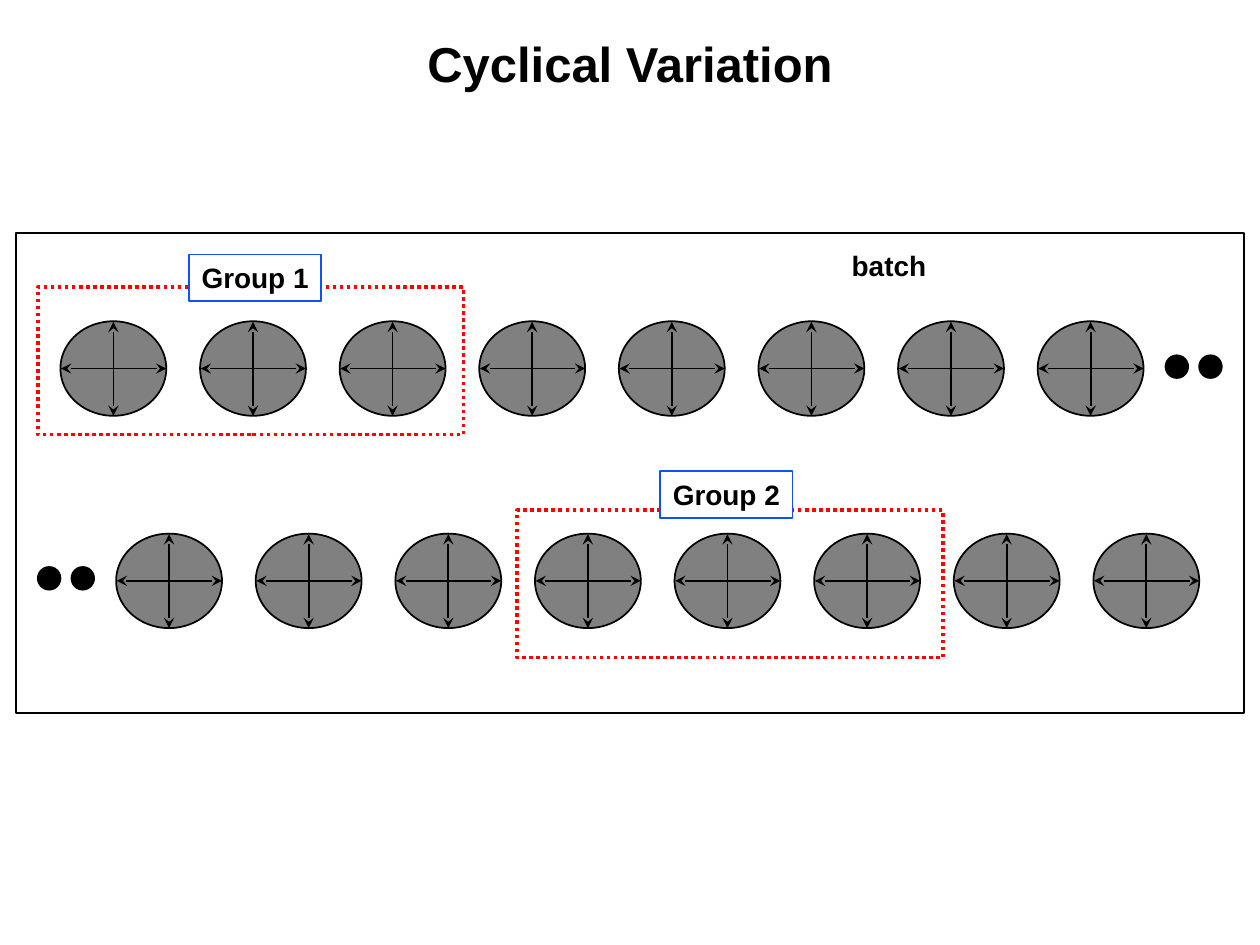
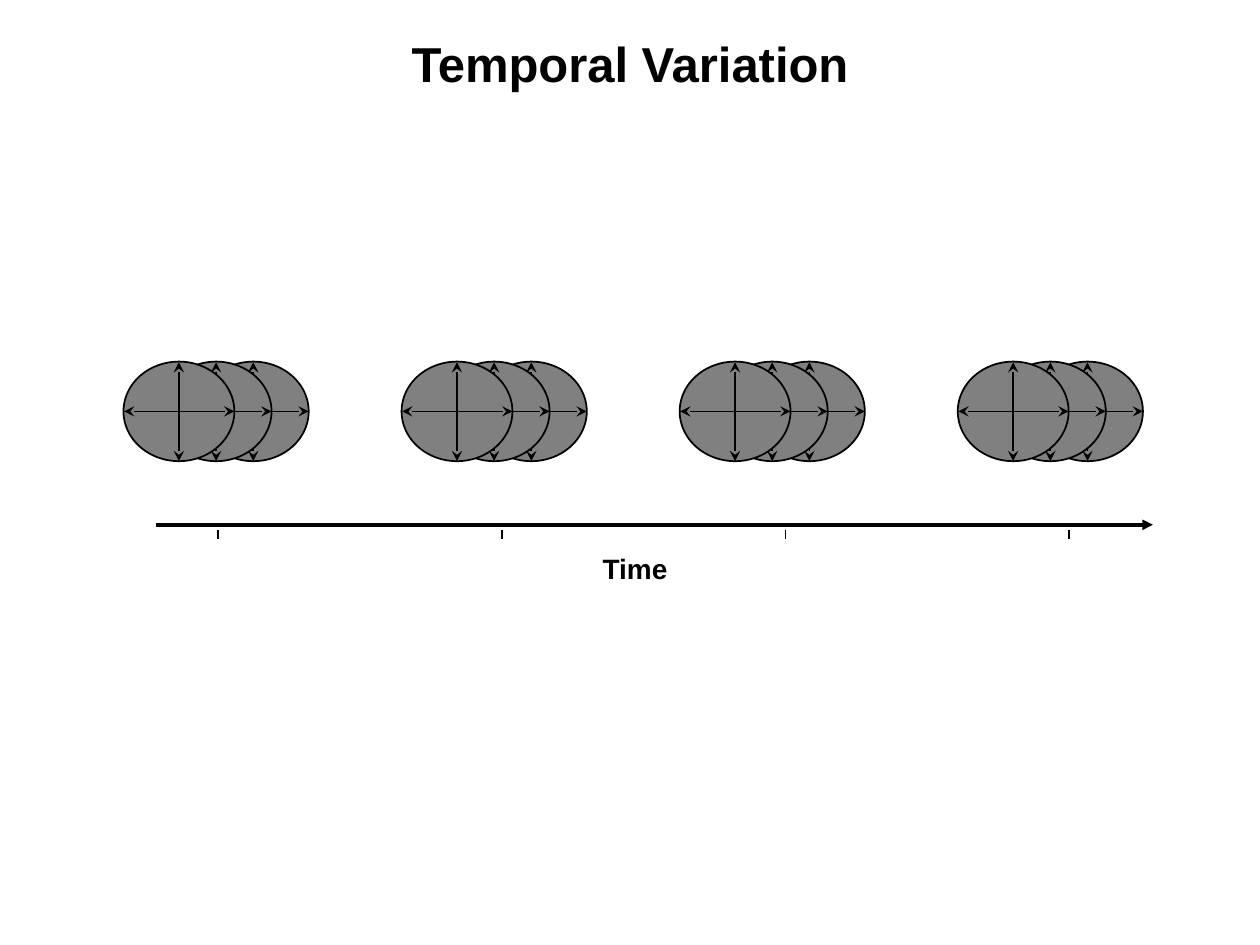
from dataclasses import dataclass
from typing import Optional

from lxml.etree import SubElement
from pptx import Presentation
from pptx.dml.color import RGBColor
from pptx.enum.dml import MSO_LINE
from pptx.enum.shapes import MSO_CONNECTOR, MSO_SHAPE
from pptx.enum.text import MSO_ANCHOR, MSO_AUTO_SIZE, PP_ALIGN
from pptx.oxml.ns import qn
from pptx.util import Inches, Pt

SLIDE_WIDTH, SLIDE_HEIGHT = Inches(10), Inches(7.5)
COLUMNS, ROWS = 100, 75


@dataclass(frozen=True)
class Theme:
    font: str = "Arial"
    title_size: int = 28
    label_size: int = 16
    ink: str = "000000"
    paper: str = "FFFFFF"
    disc: str = "808080"
    group: str = "FF0000"
    tag: str = "114FFB"
    thin: float = 1
    thick: float = 2


@dataclass(frozen=True)
class Area:
    column: float
    row: float
    width: float
    height: float

    def moved(self, columns: float) -> "Area":
        return Area(self.column + columns, self.row, self.width, self.height)

    def lengths(self) -> tuple[int, int, int, int]:
        return across(self.column), down(self.row), across(self.width), down(self.height)


@dataclass(frozen=True)
class Style:
    line: str
    fill: Optional[str] = None
    weight: float = 1
    dash: Optional[MSO_LINE] = None


@dataclass(frozen=True)
class DiscRow:
    first: Area
    first_dot: Area


@dataclass(frozen=True)
class SampleGroup:
    name: str
    frame: Area
    tag: Area


THEME = Theme()
DISC_STYLE = Style(THEME.ink, THEME.disc, THEME.thin)
DOT_STYLE = Style(THEME.ink, THEME.ink, THEME.thin)
PANEL_STYLE = Style(THEME.ink, weight=THEME.thin)
FRAME_STYLE = Style(THEME.group, weight=THEME.thick, dash=MSO_LINE.ROUND_DOT)
TAG_STYLE = Style(THEME.tag, THEME.paper, THEME.thin)

TITLE_AREA = Area(0, 0, COLUMNS, 10)

DISCS_PER_ROW, DISC_PITCH = 8, 11.08
DOTS_PER_ROW, DOT_PITCH = 2, 2.67
DISC_ROWS = [
    DiscRow(Area(4.8, 25.5, 8.4, 7.5), Area(92.5, 28.2, 1.8, 1.8)),
    DiscRow(Area(9.22, 42.35, 8.4, 7.5), Area(3, 45, 1.8, 1.8)),
]
SAMPLE_GROUPS = [
    SampleGroup("Group 1", Area(3, 22.8, 33.8, 11.7), Area(15, 20.2, 10.5, 3.7)),
    SampleGroup("Group 2", Area(41.05, 40.5, 33.8, 11.7), Area(52.4, 37.4, 10.5, 3.7)),
]
BATCH_PANEL = Area(1.25, 18.5, 97.5, 38.1)
BATCH_LABEL = Area(66.6, 19.2, 7.9, 3.7)

CLUSTERS, CLUSTER_PITCH = 4, 22.07
DISCS_PER_CLUSTER, OVERLAP_STEP = 3, 2.95
FRONT_DISC = Area(9.8, 28.7, 8.8, 7.9)
TIME_AXIS = Area(12.4, 41.65, 79.1, 0)
FIRST_TICK, TICK_PITCH = Area(17.3, 42.1, 0, 0.7), 22.52
TIME_LABEL = Area(46.8, 43.3, 7.2, 3.7)


def across(columns: float) -> int:
    return round(SLIDE_WIDTH * columns / COLUMNS)


def down(rows: float) -> int:
    return round(SLIDE_HEIGHT * rows / ROWS)


def color(value: str) -> RGBColor:
    return RGBColor.from_string(value)


def write(box, text: str, size: int, wrap: bool) -> None:
    frame = box.text_frame
    frame.word_wrap = wrap
    frame.auto_size = MSO_AUTO_SIZE.NONE if wrap else MSO_AUTO_SIZE.SHAPE_TO_FIT_TEXT
    frame.vertical_anchor = MSO_ANCHOR.MIDDLE if wrap else MSO_ANCHOR.TOP
    para = frame.paragraphs[0]
    para.text = text
    para.alignment = PP_ALIGN.CENTER
    para.font.name = THEME.font
    para.font.size = Pt(size)
    para.font.bold = True
    para.font.color.rgb = color(THEME.ink)


def add_figure(page, kind: MSO_SHAPE, area: Area, style: Style):
    figure = page.shapes.add_shape(kind, *area.lengths())
    figure.shadow.inherit = False
    if style.fill:
        figure.fill.solid()
        figure.fill.fore_color.rgb = color(style.fill)
    else:
        figure.fill.background()
    figure.line.color.rgb = color(style.line)
    figure.line.width = Pt(style.weight)
    if style.dash:
        figure.line.dash_style = style.dash
    return figure


def add_line(page, area: Area, weight: float, head: str = "none", tail: str = "none"):
    left, top, width, height = area.lengths()
    line = page.shapes.add_connector(
        MSO_CONNECTOR.STRAIGHT, left, top, left + width, top + height
    )
    line.line.color.rgb = color(THEME.ink)
    line.line.width = Pt(weight)
    properties = line.element.spPr
    outline = properties.find(qn("a:ln"))
    SubElement(outline, qn("a:headEnd"), type=head)
    SubElement(outline, qn("a:tailEnd"), type=tail)
    SubElement(properties, qn("a:effectLst"))


def add_label(page, text: str, area: Area, size: int = THEME.label_size, wrap: bool = False) -> None:
    write(page.shapes.add_textbox(*area.lengths()), text, size, wrap)


def add_disc(page, area: Area) -> None:
    add_figure(page, MSO_SHAPE.OVAL, area, DISC_STYLE)
    diameters = [
        Area(area.column + area.width / 2, area.row + 0.05, 0, area.height - 0.05),
        Area(area.column + 0.05, area.row + area.height / 2, area.width - 0.05, 0),
    ]
    for diameter in diameters:
        add_line(page, diameter, THEME.thin, "stealth", "stealth")


def add_page(deck, title: str):
    page = deck.slides.add_slide(deck.slide_layouts[6])
    page.background.fill.solid()
    page.background.fill.fore_color.rgb = color(THEME.paper)
    add_label(page, title, TITLE_AREA, THEME.title_size, wrap=True)
    return page


def build_cyclical(deck) -> None:
    page = add_page(deck, "Cyclical Variation")
    for row in DISC_ROWS:
        for index in range(DISCS_PER_ROW):
            add_disc(page, row.first.moved(index * DISC_PITCH))
        for index in range(DOTS_PER_ROW):
            add_figure(page, MSO_SHAPE.OVAL, row.first_dot.moved(index * DOT_PITCH), DOT_STYLE)
    add_figure(page, MSO_SHAPE.RECTANGLE, BATCH_PANEL, PANEL_STYLE)
    add_label(page, "batch", BATCH_LABEL)
    for group in SAMPLE_GROUPS:
        add_figure(page, MSO_SHAPE.RECTANGLE, group.frame, FRAME_STYLE)
        tag = add_figure(page, MSO_SHAPE.RECTANGLE, group.tag, TAG_STYLE)
        write(tag, group.name, THEME.label_size, wrap=False)


def build_temporal(deck) -> None:
    page = add_page(deck, "Temporal Variation")
    add_line(page, TIME_AXIS, THEME.thick, tail="triangle")
    add_label(page, "Time", TIME_LABEL)
    for cluster in range(CLUSTERS):
        add_line(page, FIRST_TICK.moved(cluster * TICK_PITCH), THEME.thin)
        for depth in reversed(range(DISCS_PER_CLUSTER)):
            add_disc(page, FRONT_DISC.moved(cluster * CLUSTER_PITCH + depth * OVERLAP_STEP))


def main() -> None:
    deck = Presentation()
    deck.slide_width, deck.slide_height = SLIDE_WIDTH, SLIDE_HEIGHT
    build_cyclical(deck)
    build_temporal(deck)
    deck.save("out.pptx")


if __name__ == "__main__":
    main()
